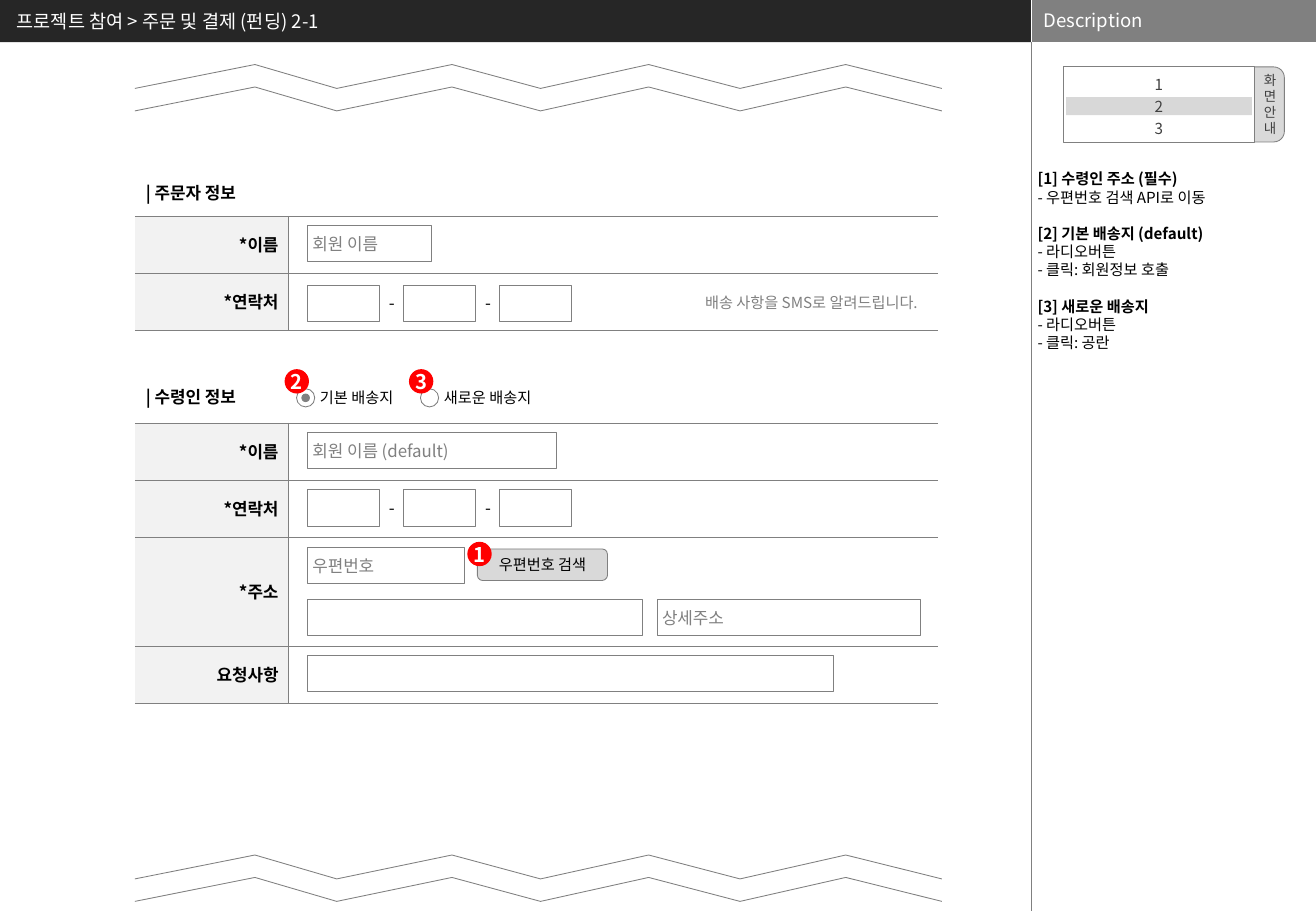
"""Build the order and payment wireframe slide."""
from lxml import etree
from pptx import Presentation
from pptx import util as u
from pptx.dml.color import RGBColor
from pptx.enum import shapes, text
from pptx.oxml.ns import qn

FONT = "Noto Sans CJK KR"
COLORS = {"dark": "262626", "gray": "808080", "ink": "404040", "black": "000000",
          "white": "FFFFFF", "label": "F2F2F2", "light": "D9D9D9", "badge": "FF0000"}

SLIDE_W, SLIDE_H = 27.51, 19.05
HEADER_H, PANEL_X = 0.88, 21.56
FORM_X, FIELD_X, FIELD_H = 2.82, 6.43, 0.76
LABEL_W, VALUE_W = 3.2, 13.59

TITLE = "프로젝트 참여 > 주문 및 결제 (펀딩) 2-1"
PANEL_TITLE = "Description"
STEPS = ["1", "2", "3"]
STEP_TAB = ["화", "면", "안", "내"]
NOTES = [
    ("[1] 수령인 주소 (필수)", ["- 우편번호 검색 API로 이동"]),
    ("[2] 기본 배송지 (default)", ["- 라디오버튼", "- 클릭: 회원정보 호출"]),
    ("[3] 새로운 배송지", ["- 라디오버튼", "- 클릭: 공란"]),
]
SECTIONS = [
    ("| 주문자 정보", 3.69, 4.52,
     [("*이름", "", 1.19), ("*연락처", "배송 사항을 SMS로 알려드립니다.", 1.19)]),
    ("| 수령인 정보", 7.96, 8.85,
     [("*이름", "", 1.19), ("*연락처", "", 1.19), ("*주소", "", 2.28), ("요청사항", "", 1.19)]),
]
FIELDS = [
    ("회원 이름", FIELD_X, 4.71, 2.6),
    ("회원 이름 (default)", FIELD_X, 9.04, 5.2),
    ("우편번호", FIELD_X, 11.45, 3.28),
    ("", FIELD_X, 12.54, 7.0),
    ("상세주소", 13.74, 12.54, 5.51),
    ("", FIELD_X, 13.71, 11.0),
]
PHONE_TOPS = [5.96, 10.24]
PHONE_STEP = 2.01
OPTIONS = [("기본 배송지", 6.2, True), ("새로운 배송지", 8.79, False)]
OPTION_Y, RADIO, DOT = 8.13, 0.38, 0.16
BADGES = [("1", 9.77, 11.33), ("2", 5.95, 7.72), ("3", 8.55, 7.72)]
BREAK_XS = [2.82, 5.33, 7.04, 9.45, 11.3, 13.56, 15.47, 17.68, 19.69]
BREAK_TOPS = [1.35, 17.88]
BREAK_DEPTH, BREAK_GAP = 0.5, 0.47

LEFT, CENTER, RIGHT = text.PP_ALIGN.LEFT, text.PP_ALIGN.CENTER, text.PP_ALIGN.RIGHT
SHAPE = shapes.MSO_SHAPE


def rgb(name):
    return RGBColor.from_string(COLORS[name])


def write(frame, lines, size, color="black", align=LEFT, bold=False, spacing=None,
          margins=(0, 0, 0, 0), wrap=True):
    left, top, right, bottom = map(u.Cm, margins)
    frame_format = {"word_wrap": wrap, "auto_size": text.MSO_AUTO_SIZE.NONE,
                    "vertical_anchor": text.MSO_ANCHOR.MIDDLE, "margin_left": left,
                    "margin_top": top, "margin_right": right, "margin_bottom": bottom}
    for name, value in frame_format.items():
        setattr(frame, name, value)
    for index, line in enumerate(lines):
        paragraph = frame.paragraphs[0] if index == 0 else frame.add_paragraph()
        style(paragraph, line, size, color, align, bold, spacing)


def style(paragraph, line, size, color, align, bold=False, spacing=None, before=0):
    paragraph_format = {"alignment": align, "space_before": u.Pt(before),
                        "line_spacing": u.Pt(spacing) if spacing else None}
    for name, value in paragraph_format.items():
        setattr(paragraph, name, value)
    run = paragraph.add_run()
    run.text = line
    for name, value in {"size": u.Pt(size), "bold": bold, "name": FONT}.items():
        setattr(run.font, name, value)
    run.font.color.rgb = rgb(color)
    etree.SubElement(run._r.get_or_add_rPr(), qn("a:ea"), typeface=FONT)


def add_box(slide, kind, left, top, width, height, fill, line="gray"):
    box = slide.shapes.add_shape(kind, *map(u.Cm, (left, top, width, height)))
    box.shadow.inherit = False
    box.fill.solid()
    box.fill.fore_color.rgb = rgb(fill)
    if line:
        box.line.color.rgb = rgb(line)
        box.line.width = u.Pt(0.5)
    else:
        box.line.fill.background()
    return box


def add_label(slide, line, left, top, width, height, size, bold=False):
    label = slide.shapes.add_textbox(*map(u.Cm, (left, top, width, height)))
    write(label.text_frame, [line], size, bold=bold)


def add_divider(slide, top, bottom, color):
    divider = slide.shapes.add_connector(
        shapes.MSO_CONNECTOR.STRAIGHT, *map(u.Cm, (PANEL_X, top, PANEL_X, bottom)))
    divider.line.color.rgb = rgb(color)
    divider.line.width = u.Pt(0.25)
    etree.SubElement(divider._element.spPr, qn("a:effectLst"))


def add_page_break(slide, top):
    curves = [[(u.Cm(x), u.Cm(top + row * BREAK_GAP + (0 if i % 2 else BREAK_DEPTH)))
               for i, x in enumerate(BREAK_XS)] for row in range(2)]
    builder = slide.shapes.build_freeform(*curves[0][0])
    builder.add_line_segments(curves[0][1:], close=False)
    builder.move_to(*curves[1][0])
    builder.add_line_segments(curves[1][1:], close=False)
    outline = builder.convert_to_shape()
    outline.shadow.inherit = False
    outline.fill.background()
    outline.line.color.rgb = rgb("gray")
    outline.line.width = u.Pt(0.5)


def set_borders(cell, drawn, fill):
    cell.fill.solid()
    cell.fill.fore_color.rgb = rgb(fill)
    props = cell._tc.get_or_add_tcPr()
    for index, side in enumerate("LRTB"):
        border = etree.Element(qn(f"a:ln{side}"), w=str(u.Pt(0.5)))
        if side in drawn:
            solid = etree.SubElement(border, qn("a:solidFill"))
            etree.SubElement(solid, qn("a:srgbClr"), val=COLORS["gray"])
        else:
            etree.SubElement(border, qn("a:noFill"))
        props.insert(index, border)


def write_cell(cell, line, size, color, bold, side_margin):
    cell_format = {"vertical_anchor": text.MSO_ANCHOR.MIDDLE,
                   "margin_left": u.Cm(side_margin), "margin_right": u.Cm(side_margin),
                   "margin_top": 0, "margin_bottom": 0}
    for name, value in cell_format.items():
        setattr(cell, name, value)
    if line:
        style(cell.text_frame.paragraphs[0], line, size, color, RIGHT, bold)


def add_section(slide, heading, heading_top, top, rows):
    height = sum(row[2] for row in rows)
    table = slide.shapes.add_table(
        len(rows), 2, *map(u.Cm, (FORM_X, top, LABEL_W + VALUE_W, height))).table
    table.first_row = table.horz_banding = False
    for column, width in zip(table.columns, (LABEL_W, VALUE_W)):
        column.width = u.Cm(width)
    for index, (label, hint, row_height) in enumerate(rows):
        table.rows[index].height = u.Cm(row_height)
        label_cell, value_cell = table.cell(index, 0), table.cell(index, 1)
        write_cell(label_cell, label, 10, "black", True, 0.2)
        write_cell(value_cell, hint, 9, "gray", False, 0.43)
        set_borders(label_cell, "RTB", "label")
        set_borders(value_cell, "LTB", "white")
    add_label(slide, heading, 3.05, heading_top, 4.0, 0.69, 10, bold=True)


def add_header(slide):
    title = slide.shapes.title
    place = {"left": 0, "top": 0, "width": PANEL_X, "height": HEADER_H}
    for name, value in place.items():
        setattr(title, name, u.Cm(value))
    title.fill.solid()
    title.fill.fore_color.rgb = rgb("dark")
    write(title.text_frame, [TITLE], 11, "white", margins=(0.35, 0, 0.25, 0))
    panel = add_box(slide, SHAPE.RECTANGLE, PANEL_X, 0, SLIDE_W - PANEL_X, HEADER_H, "gray", None)
    write(panel.text_frame, [PANEL_TITLE], 11, "white", margins=(0.25, 0, 0.25, 0.04))
    add_divider(slide, 0, HEADER_H, "white")
    add_divider(slide, HEADER_H, SLIDE_H, "gray")


def add_form(slide):
    for section in SECTIONS:
        add_section(slide, *section)
    for hint, left, top, width in FIELDS:
        field = add_box(slide, SHAPE.RECTANGLE, left, top, width, FIELD_H, "white")
        if hint:
            write(field.text_frame, [hint], 10, "gray", margins=(0.1, 0.1, 0.1, 0.1))
    for top in PHONE_TOPS:
        for part in range(3):
            left = FIELD_X + part * PHONE_STEP
            add_box(slide, SHAPE.RECTANGLE, left, top, 1.5, FIELD_H, "white")
            if part < 2:
                add_label(slide, "-", left + 1.7, top + 0.15, 0.2, 0.44, 10)
    search = add_box(slide, SHAPE.ROUNDED_RECTANGLE, 9.98, 11.48, 2.72, 0.66, "light")
    write(search.text_frame, ["우편번호 검색"], 9, align=CENTER)
    for label, left, chosen in OPTIONS:
        add_box(slide, SHAPE.OVAL, left, OPTION_Y, RADIO, RADIO, "white")
        if chosen:
            inset = (RADIO - DOT) / 2
            add_box(slide, SHAPE.OVAL, left + inset, OPTION_Y + inset, DOT, DOT, "gray")
        add_label(slide, label, left + 0.49, 8.02, 2.2, 0.58, 9)
    for number, left, top in BADGES:
        badge = add_box(slide, SHAPE.OVAL, left, top, 0.51, 0.51, "badge", None)
        write(badge.text_frame, [number], 12, "white", CENTER, True, wrap=False)


def add_description(slide):
    tab = add_box(slide, SHAPE.ROUNDED_RECTANGLE, 25.68, 1.4, 1.17, 1.57, "light")
    tab.adjustments[0] = 0.19
    write(tab.text_frame, STEP_TAB, 8, "ink", RIGHT, spacing=9.5, margins=(0, 0, 0.1, 0))
    steps = add_box(slide, SHAPE.RECTANGLE, 22.23, 1.4, 3.99, 1.57, "white")
    write(steps.text_frame, STEPS, 9, "ink", CENTER, spacing=13)
    current = add_box(slide, SHAPE.RECTANGLE, 22.29, 2.03, 3.88, 0.38, "ink", None)
    tint = current.fill._xPr.find(qn("a:solidFill"))[0]
    etree.SubElement(tint, qn("a:alpha"), val="20000")
    notes = slide.shapes.add_textbox(*map(u.Cm, (21.59, 3.55, 5.9, 4.0)))
    write(notes.text_frame, [NOTES[0][0]], 9, bold=True, spacing=10.8, margins=(0.1, 0, 0.1, 0))
    notes.text_frame.vertical_anchor = text.MSO_ANCHOR.TOP
    for index, (heading, details) in enumerate(NOTES):
        if index:
            style(notes.text_frame.add_paragraph(), heading, 9, "black", LEFT, True, 10.8, 10.8)
        for detail in details:
            style(notes.text_frame.add_paragraph(), detail, 9, "black", LEFT, False, 10.8)


def main():
    deck = Presentation()
    deck.slide_width, deck.slide_height = u.Cm(SLIDE_W), u.Cm(SLIDE_H)
    slide = deck.slides.add_slide(deck.slide_layouts[5])
    add_header(slide)
    for top in BREAK_TOPS:
        add_page_break(slide, top)
    add_form(slide)
    add_description(slide)
    deck.save("out.pptx")


if __name__ == "__main__":
    main()
